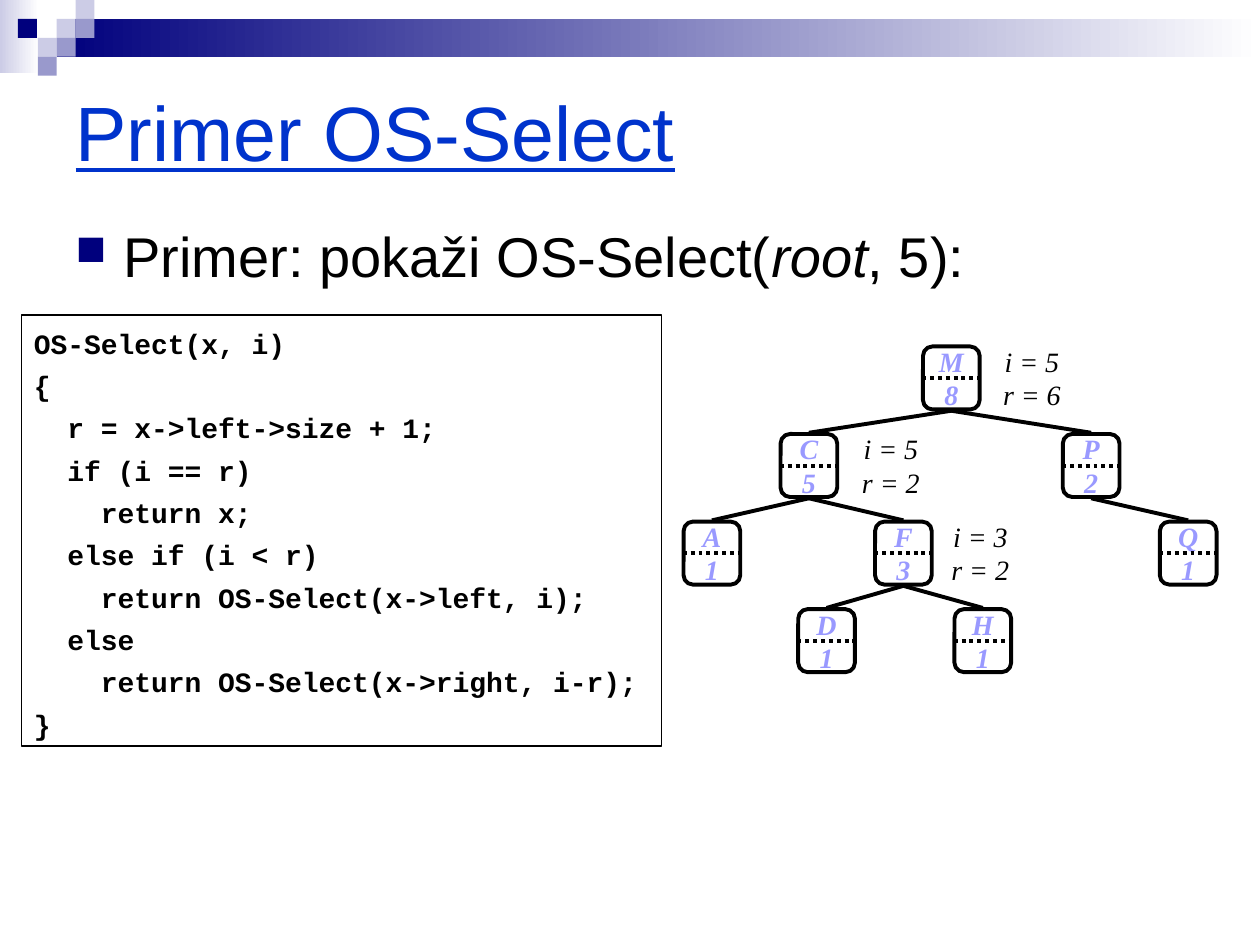
from lxml.etree import SubElement
from pptx import Presentation
from pptx.dml.color import RGBColor
from pptx.enum.dml import MSO_LINE
from pptx.enum.shapes import MSO_CONNECTOR, MSO_SHAPE
from pptx.enum.text import MSO_ANCHOR, PP_ALIGN
from pptx.oxml.ns import qn
from pptx.util import Inches, Pt

COLORS = {"navy": "00007D", "mid": "9999CC", "pale": "CCCCE6", "white": "FFFFFF",
          "black": "000000", "title": "0033CC", "node": "9999FF"}

TITLE = "Primer OS-Select"
BULLET = [("Primer: pokaži OS-Select(", False), ("root", True), (", 5):", False)]
CODE = """OS-Select(x, i)
{
  r = x->left->size + 1;
  if (i == r)
    return x;
  else if (i < r)
    return OS-Select(x->left, i);
  else
    return OS-Select(x->right, i-r);
}"""

# key: (subtree size, centre x, tree level, parent)
NODES = {
    "M": (8, 7.55, 0, None),
    "C": (5, 6.42, 1, "M"),
    "P": (2, 8.66, 1, "M"),
    "A": (1, 5.65, 2, "C"),
    "F": (3, 7.17, 2, "C"),
    "Q": (1, 9.43, 2, "P"),
    "D": (1, 6.56, 3, "F"),
    "H": (1, 7.8, 3, "F"),
}
# node, search rank, node rank, distance from the node's centre
STEPS = [("M", 5, 6, 0.64), ("C", 5, 2, 0.65), ("F", 3, 2, 0.61)]

NODE_WIDTH, NODE_HEIGHT = 0.45, 0.5
TREE_TOP, LEVEL_STEP = 2.75, 0.695
TREE_LINE = 2.25

TILE = 0.15
TILES = [(3, 1, "pale"), (4, 0, "pale"), (4, 1, "mid"), (2, 2, "pale"),
         (0.95, 1, "navy"), (3, 2, "mid"), (2, 3, "mid")]

TITLE_FONT = {"name": "Arial", "size": Pt(44), "underline": True}
BODY_FONT = {"name": "Arial", "size": Pt(32)}
CODE_FONT = {"name": "Courier New", "size": Pt(16), "bold": True}
STEP_FONT = {"name": "Times New Roman", "size": Pt(16), "italic": True}
NODE_FONT = {**STEP_FONT, "bold": True}


def color(name):
    return RGBColor.from_string(COLORS[name])


def style(span, font, ink):
    for key, value in font.items():
        setattr(span.font, key, value)
    span.font.color.rgb = color(ink)


def add_box(page, left, top, width, height, kind=MSO_SHAPE.RECTANGLE, line=None):
    box = page.shapes.add_shape(kind, *map(Inches, (left, top, width, height)))
    box.shadow.inherit = False
    box.fill.background()
    if line:
        box.line.color.rgb = color("black")
        box.line.width = Pt(line)
    else:
        box.line.fill.background()
    return box


def add_line(page, x1, y1, x2, y2):
    line = page.shapes.add_connector(MSO_CONNECTOR.STRAIGHT, *map(Inches, (x1, y1, x2, y2)))
    line.line.color.rgb = color("black")
    line.line.width = Pt(TREE_LINE)
    SubElement(line._element.spPr, qn("a:effectLst"))
    return line


def write_pair(box, upper, lower, font, ink):
    """Two centred lines, one in each half of a node-sized box."""
    frame = box.text_frame
    frame.word_wrap = False
    frame.vertical_anchor = MSO_ANCHOR.MIDDLE
    para = frame.paragraphs[0]
    para.text = f"{upper}\v{lower}"
    para.alignment = PP_ALIGN.CENTER
    para.line_spacing = Pt(19)
    for span in para.runs:
        style(span, font, ink)


def hang(para):
    properties = para._p.get_or_add_pPr()
    properties.set("marL", str(Inches(0.38)))
    properties.set("indent", str(-Inches(0.38)))
    return properties


def add_banner(page):
    for area, start in (((0, 0, 0.31, 0.58), "pale"), ((0.45, TILE, 9.55, 0.3), "navy")):
        band = add_box(page, *area)
        band.fill.gradient()
        band.fill.gradient_angle = 0
        for stop, name in zip(band.fill.gradient_stops, (start, "white")):
            stop.color.rgb = color(name)
    for column, row, name in TILES:
        tile = add_box(page, column * TILE, row * TILE, TILE, TILE)
        tile.fill.solid()
        tile.fill.fore_color.rgb = color(name)


def add_title(page):
    title = page.shapes.title
    title.left, title.top, title.width, title.height = map(Inches, (0.5, 0.5, 9, 1.08))
    title.text_frame.vertical_anchor = MSO_ANCHOR.MIDDLE
    para = title.text_frame.paragraphs[0]
    para.text = TITLE
    para.alignment = PP_ALIGN.LEFT
    style(para.runs[0], TITLE_FONT, "title")


def add_bullet(page):
    box = page.shapes.add_textbox(*map(Inches, (0.5, 1.67, 9, 0.75)))
    frame = box.text_frame
    frame.word_wrap = True
    frame.margin_top = Inches(0.09)
    para = frame.paragraphs[0]
    properties = hang(para)
    ink = SubElement(properties, qn("a:buClr"))
    SubElement(ink, qn("a:srgbClr"), val=COLORS["navy"])
    SubElement(properties, qn("a:buSzPct"), val="75000")
    SubElement(properties, qn("a:buChar"), char="■")
    for text, italic in BULLET:
        span = para.add_run()
        span.text = text
        style(span, {**BODY_FONT, "italic": italic}, "black")


def add_code(page):
    frame = add_box(page, 0.17, 2.5, 5.08, 3.42, line=0.75).text_frame
    frame.word_wrap = True
    frame.vertical_anchor = MSO_ANCHOR.TOP
    frame.margin_top = Inches(0.09)
    for number, text in enumerate(CODE.splitlines()):
        para = frame.add_paragraph() if number else frame.paragraphs[0]
        hang(para)
        para.alignment = PP_ALIGN.LEFT
        para.space_before = Pt(5 if number else 0)
        span = para.add_run()
        span.text = text
        style(span, CODE_FONT, "black")


def node_top(key):
    return TREE_TOP + NODES[key][2] * LEVEL_STEP


def add_tree(page):
    size = NODE_WIDTH, NODE_HEIGHT
    for key, (count, center, _, parent) in NODES.items():
        top = node_top(key)
        node = add_box(page, center - NODE_WIDTH / 2, top, *size,
                       kind=MSO_SHAPE.ROUNDED_RECTANGLE, line=TREE_LINE)
        write_pair(node, key, count, NODE_FONT, "node")
        middle = top + NODE_HEIGHT / 2
        divider = add_line(page, center - 0.23, middle, center + 0.23, middle)
        divider.line.dash_style = MSO_LINE.ROUND_DOT
        if parent:
            add_line(page, NODES[parent][1], node_top(parent) + NODE_HEIGHT + 0.01,
                     center, top - 0.01)
    for key, i, r, offset in STEPS:
        left = NODES[key][1] + offset - NODE_WIDTH / 2
        label = add_box(page, left, node_top(key), *size)
        write_pair(label, f"i = {i}", f"r = {r}", STEP_FONT, "black")


def main():
    deck = Presentation()
    deck.slide_width, deck.slide_height = Inches(10), Inches(7.5)
    page = deck.slides.add_slide(deck.slide_layouts[5])
    for add_part in (add_banner, add_title, add_bullet, add_code, add_tree):
        add_part(page)
    deck.save("out.pptx")


if __name__ == "__main__":
    main()
